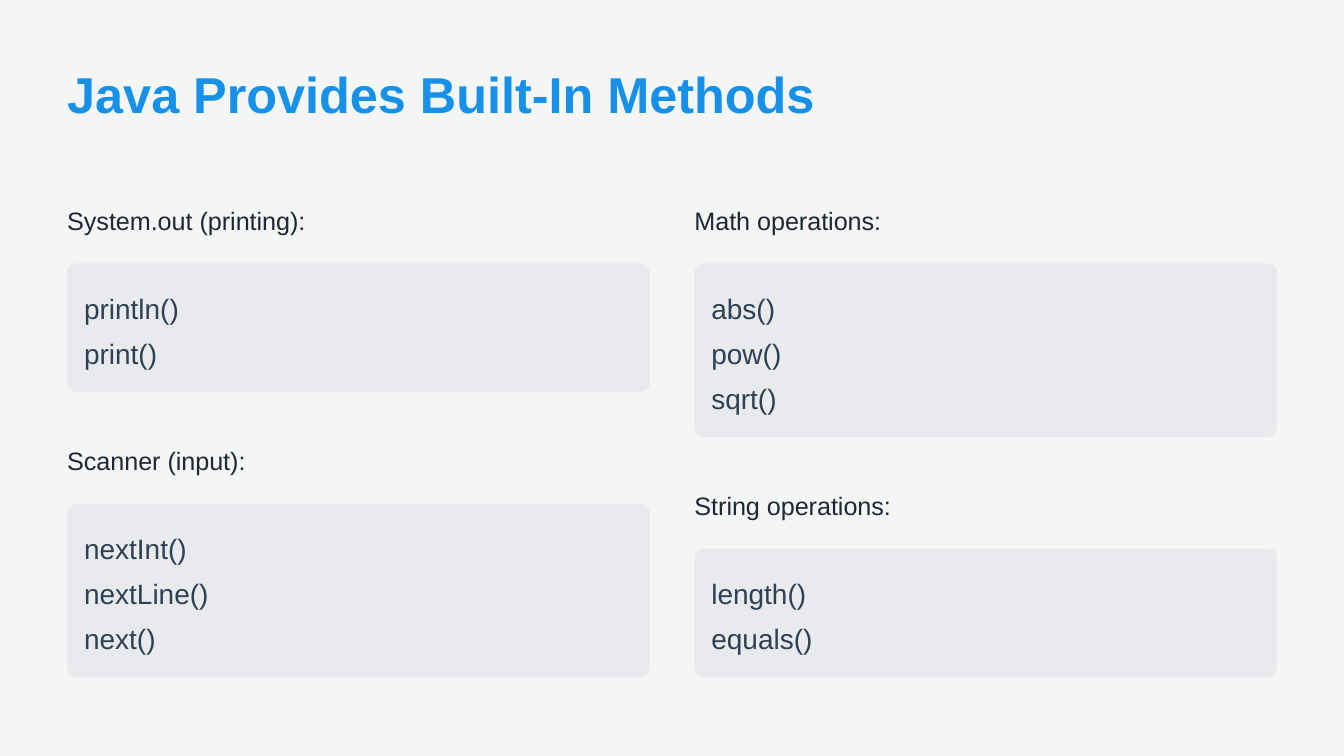
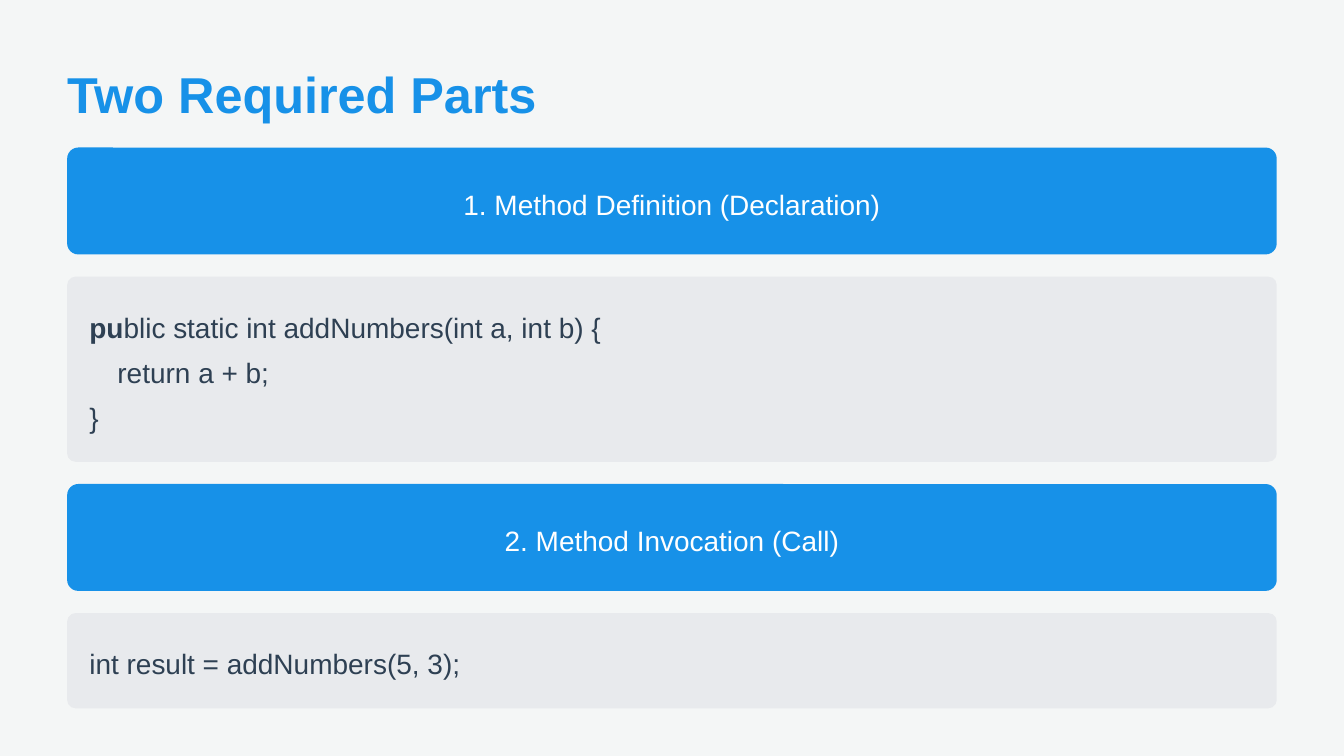
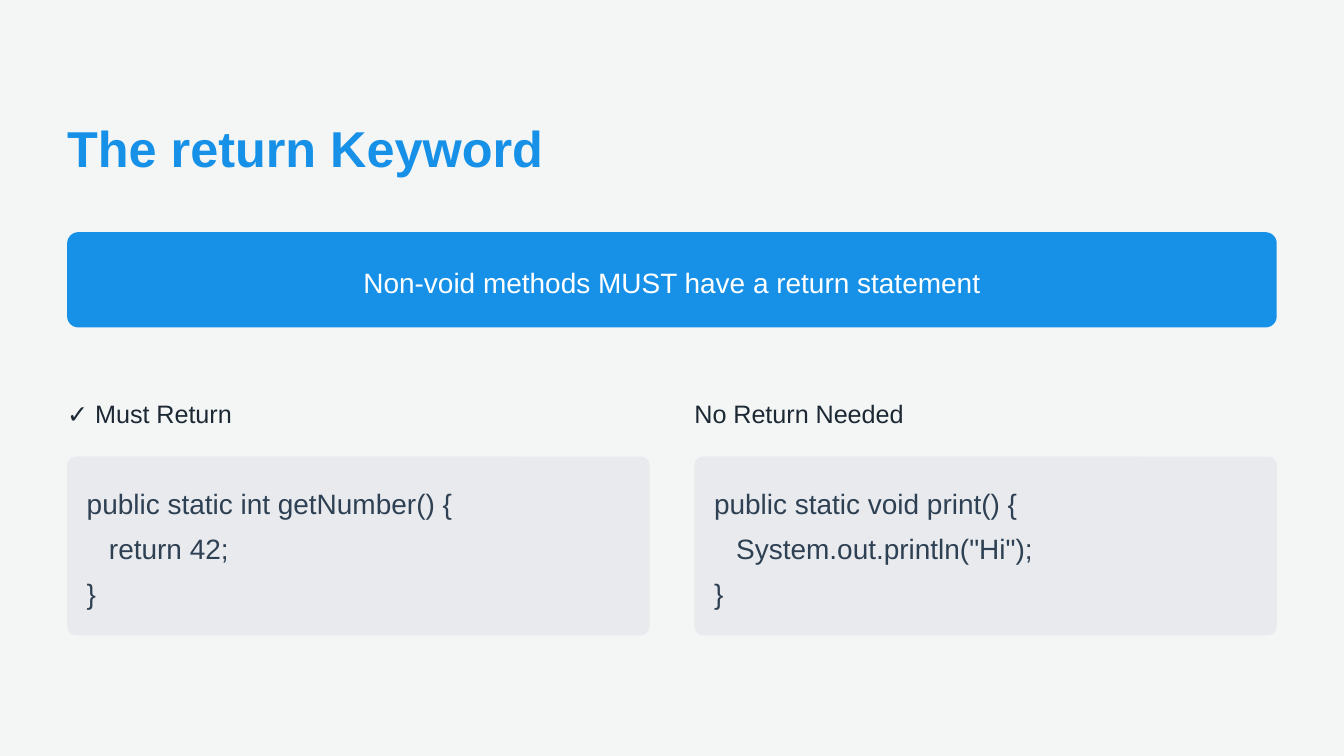
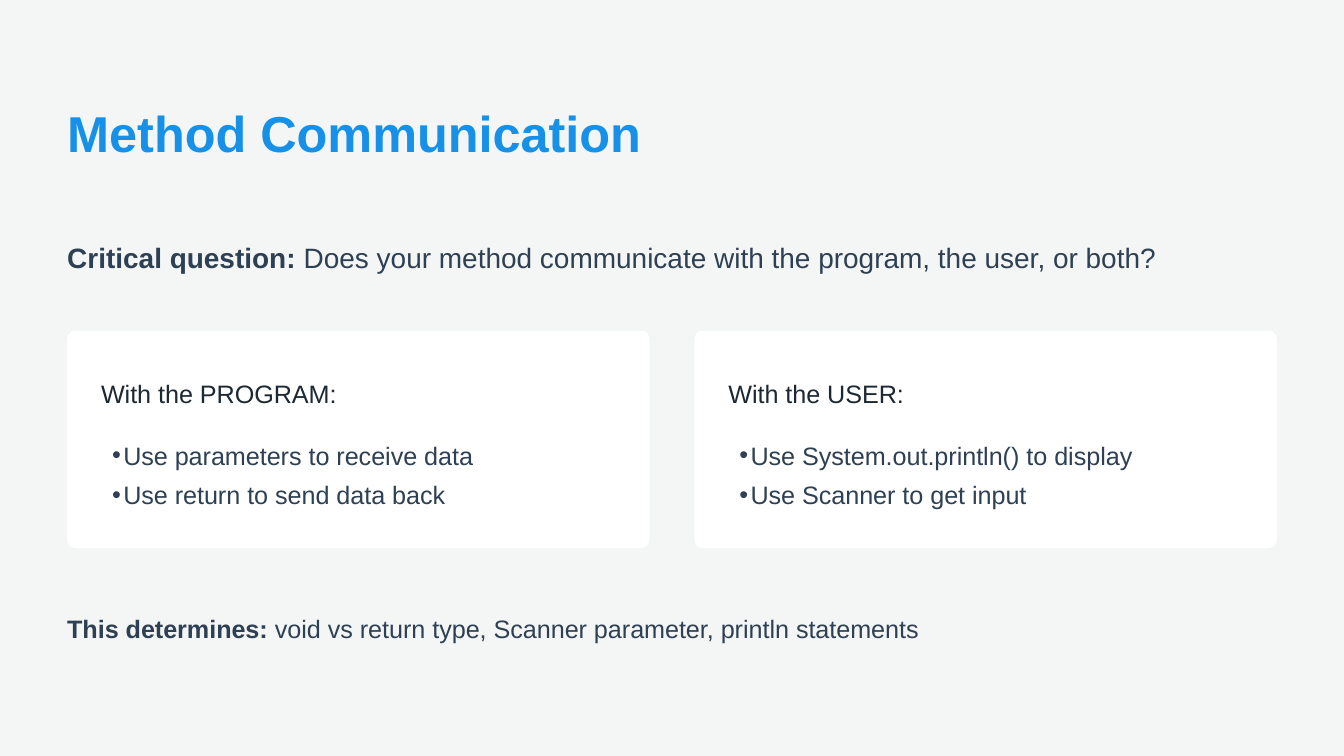
"""Build four slides on Java methods: built-in methods, required parts, return and communication."""
from dataclasses import dataclass

from lxml.etree import SubElement
from pptx import Presentation
from pptx.dml.color import RGBColor
from pptx.enum.shapes import MSO_SHAPE as Preset
from pptx.enum.text import MSO_ANCHOR as Anchor, MSO_AUTO_SIZE as AutoSize, PP_ALIGN as Align
from pptx.oxml.ns import qn
from pptx.util import Cm, Pt

BUILT_IN = {
    "title": "Java Provides Built-In Methods",
    "columns": [
        [("System.out (printing):", ["println()", "print()"]),
         ("Scanner (input):", ["nextInt()", "nextLine()", "next()"])],
        [("Math operations:", ["abs()", "pow()", "sqrt()"]),
         ("String operations:", ["length()", "equals()"])],
    ],
}
PARTS = {
    "title": "Two Required Parts",
    "steps": [
        ("1. Method Definition (Declaration)",
         [("pu", "blic static int addNumbers(int a, int b) {"), "\treturn a + b;", "}"]),
        ("2. Method Invocation (Call)", ["int result = addNumbers(5, 3);"]),
    ],
}
RETURN = {
    "title": "The return Keyword",
    "rule": "Non-void methods MUST have a return statement",
    "columns": [
        [("✓ Must Return", ["public static int getNumber() {", "\treturn 42;", "}"])],
        [("No Return Needed", ["public static void print() {", '\tSystem.out.println("Hi");', "}"])],
    ],
}
COMMUNICATION = {
    "title": "Method Communication",
    "question": ("Critical question:",
                 " Does your method communicate with the program, the user, or both?"),
    "cards": [
        ("With the PROGRAM:", ["Use parameters to receive data", "Use return to send data back"]),
        ("With the USER:", ["Use System.out.println() to display", "Use Scanner to get input"]),
    ],
    "result": ("This determines:", " void vs return type, Scanner parameter, println statements"),
}


@dataclass(frozen=True)
class Theme:
    """Colours, font and type sizes of the deck."""
    background: str = "F4F6F6"
    accent: str = "1791E8"
    panel: str = "E8EAED"
    white: str = "FFFFFF"
    label: str = "1C2833"
    text: str = "2E4053"
    font: str = "Arial"
    title_size: float = 27
    body_size: float = 15
    small_size: float = 13.5


THEME = Theme()
TWO_CONTENT, TITLE_ONLY = 3, 5
SLIDE_WIDTH, SLIDE_HEIGHT = 25.4, 14.29
MARGIN, COLUMN_GAP = 1.27, 0.85
FULL_WIDTH = SLIDE_WIDTH - 2 * MARGIN
COLUMN_WIDTH = (FULL_WIDTH - COLUMN_GAP) / 2
COLUMN_LEFTS = [MARGIN, MARGIN + COLUMN_WIDTH + COLUMN_GAP]
LINE_HEIGHT, LINE_PITCH = 0.74, 0.85
LABEL_STEP = 1.27
TEXT_SLACK = 1.02


def place(shape, left, top, width, height):
    """Move and size a shape, in centimetres."""
    shape.left, shape.top, shape.width, shape.height = map(Cm, (left, top, width, height))


def clear_frame(frame, left_inset=0.0):
    """Make a text frame wrap, start at its top and have no inner margins."""
    frame.word_wrap = True
    frame.auto_size = AutoSize.NONE
    frame.vertical_anchor = Anchor.TOP
    frame.margin_left = Cm(left_inset)
    frame.margin_top = frame.margin_right = frame.margin_bottom = 0


def style(paragraph, size, colour, bold=None, align=Align.LEFT, leading=21, before=3, after=3):
    """Set the font and spacing of a paragraph."""
    paragraph.alignment = align
    paragraph.line_spacing = Pt(leading)
    paragraph.space_before, paragraph.space_after = Pt(before), Pt(after)
    font = paragraph.font
    font.name, font.size, font.bold = THEME.font, Pt(size), bold
    font.color.rgb = RGBColor.from_string(colour)


def add_line(slide, text, left, top, width, size=THEME.body_size, colour=THEME.text,
             align=Align.LEFT):
    """Add one line of text; a pair gives a bold start and a plain rest."""
    box = slide.shapes.add_textbox(Cm(left), Cm(top), Cm(width), Cm(LINE_HEIGHT))
    clear_frame(box.text_frame)
    paragraph = box.text_frame.paragraphs[0]
    if isinstance(text, tuple):
        for part, bold in zip(text, (True, False)):
            run = paragraph.add_run()
            run.text, run.font.bold = part, bold
    else:
        paragraph.text = text
    style(paragraph, size, colour, align=align)


def add_label(slide, text, left, top, width):
    """Add a small dark heading."""
    add_line(slide, text, left, top, width * TEXT_SLACK, THEME.small_size, THEME.label)


def add_panel(slide, left, top, width, height, fill, radius=0.16):
    """Add a rounded rectangle with a fixed corner radius."""
    panel = slide.shapes.add_shape(Preset.ROUNDED_RECTANGLE, Cm(left), Cm(top), Cm(width), Cm(height))
    panel.adjustments[0] = radius / min(width, height)
    panel.fill.solid()
    panel.fill.fore_color.rgb = RGBColor.from_string(fill)
    panel.line.fill.background()
    panel.shadow.inherit = False


def add_code(slide, lines, left, top, width, pad, indent=0.0):
    """Add a grey panel of code lines and return its bottom."""
    pad_x, pad_y = pad
    height = 2 * pad_y + (len(lines) - 1) * LINE_PITCH + LINE_HEIGHT
    add_panel(slide, left, top, width, height, THEME.panel)
    for row, line in enumerate(lines):
        shift = indent if line[0] == "\t" else 0
        text = line.strip() if isinstance(line, str) else line
        add_line(slide, text, left + pad_x + shift, top + pad_y + row * LINE_PITCH,
                 (width - 2 * pad_x - shift) * TEXT_SLACK)
    return top + height


def add_banner(slide, text, top, pad):
    """Add a full-width blue banner and return its bottom."""
    pad_x, pad_y = pad
    height = 2 * pad_y + LINE_HEIGHT
    add_panel(slide, MARGIN, top, FULL_WIDTH, height, THEME.accent, radius=0.21)
    add_line(slide, text, MARGIN + pad_x, top + pad_y, FULL_WIDTH - 2 * pad_x,
             colour=THEME.white, align=Align.CENTER)
    return top + height


def add_code_columns(slide, columns, top, pad, indent=0.0, gap=0.84):
    """Stack labelled code panels in two columns."""
    for left, sections in zip(COLUMN_LEFTS, columns):
        y = top
        for label, lines in sections:
            add_label(slide, label, left, y, COLUMN_WIDTH)
            y = add_code(slide, lines, left, y + LABEL_STEP, COLUMN_WIDTH, pad, indent) + gap


def fill_bullets(placeholder, items, left, top, width):
    """Turn a body placeholder into a tight bullet list."""
    place(placeholder, left, top, width, 1.57)
    frame = placeholder.text_frame
    clear_frame(frame, left_inset=0.21)
    frame.text = "\n".join(items)
    for paragraph in frame.paragraphs:
        style(paragraph, THEME.small_size, THEME.text, before=0, after=0)
        properties = paragraph._p.get_or_add_pPr()
        properties.set("marL", str(Cm(0.21)))
        properties.set("indent", str(-Cm(0.21)))
        bullet = SubElement(properties, qn("a:buChar"))
        bullet.set("char", "•")
        properties.find(qn("a:defRPr")).addprevious(bullet)


def new_slide(presentation, title, top, width=11.68, layout=TITLE_ONLY):
    """Add a slide with its blue title."""
    slide = presentation.slides.add_slide(presentation.slide_layouts[layout])
    heading = slide.shapes.title
    place(heading, MARGIN, top, width, 1.06)
    clear_frame(heading.text_frame)
    heading.text_frame.text = title
    style(heading.text_frame.paragraphs[0], THEME.title_size, THEME.accent, bold=True,
          leading=30, before=0, after=18)
    return slide


def build_built_in(presentation):
    """Show the groups of built-in methods."""
    slide = new_slide(presentation, BUILT_IN["title"], 1.27, width=14.43)
    add_code_columns(slide, BUILT_IN["columns"], 3.71, pad=(0.32, 0.42))


def build_parts(presentation):
    """Show definition and call, each a banner above its code."""
    slide = new_slide(presentation, PARTS["title"], 1.27)
    gap, y = 0.42, 2.79
    for heading, lines in PARTS["steps"]:
        y = add_banner(slide, heading, y, pad=(0.32, 0.64)) + gap
        y = add_code(slide, lines, MARGIN, y, FULL_WIDTH, pad=(0.42, 0.53), indent=0.53) + gap


def build_return(presentation):
    """Show the return rule and both kinds of method."""
    slide = new_slide(presentation, RETURN["title"], 2.29)
    add_banner(slide, RETURN["rule"], 4.39, pad=(0.21, 0.53))
    add_code_columns(slide, RETURN["columns"], 7.36, pad=(0.37, 0.47), indent=0.42)


def build_communication(presentation):
    """Show the question, a card for each partner and the result."""
    slide = new_slide(presentation, COMMUNICATION["title"], 2.01, layout=TWO_CONTENT)
    add_line(slide, COMMUNICATION["question"], MARGIN, 4.45, FULL_WIDTH * TEXT_SLACK)
    bodies = [shape for shape in slide.placeholders if shape.placeholder_format.idx]
    top, pad = 6.25, 0.64
    inner_width = COLUMN_WIDTH - 2 * pad
    for left, body, (label, items) in zip(COLUMN_LEFTS, bodies, COMMUNICATION["cards"]):
        add_panel(slide, left, top, COLUMN_WIDTH, 4.11, THEME.white)
        slide.shapes._spTree.append(body._element)
        add_label(slide, label, left + pad, top + 0.74, inner_width)
        fill_bullets(body, items, left + pad, top + 1.9, inner_width)
    add_line(slide, COMMUNICATION["result"], MARGIN, 11.43, FULL_WIDTH * TEXT_SLACK,
             THEME.small_size)


def main():
    """Build and save the deck."""
    presentation = Presentation()
    presentation.slide_width, presentation.slide_height = Cm(SLIDE_WIDTH), Cm(SLIDE_HEIGHT)
    background = presentation.slide_master.background.fill
    background.solid()
    background.fore_color.rgb = RGBColor.from_string(THEME.background)
    for build in (build_built_in, build_parts, build_return, build_communication):
        build(presentation)
    presentation.save("out.pptx")


if __name__ == "__main__":
    main()
